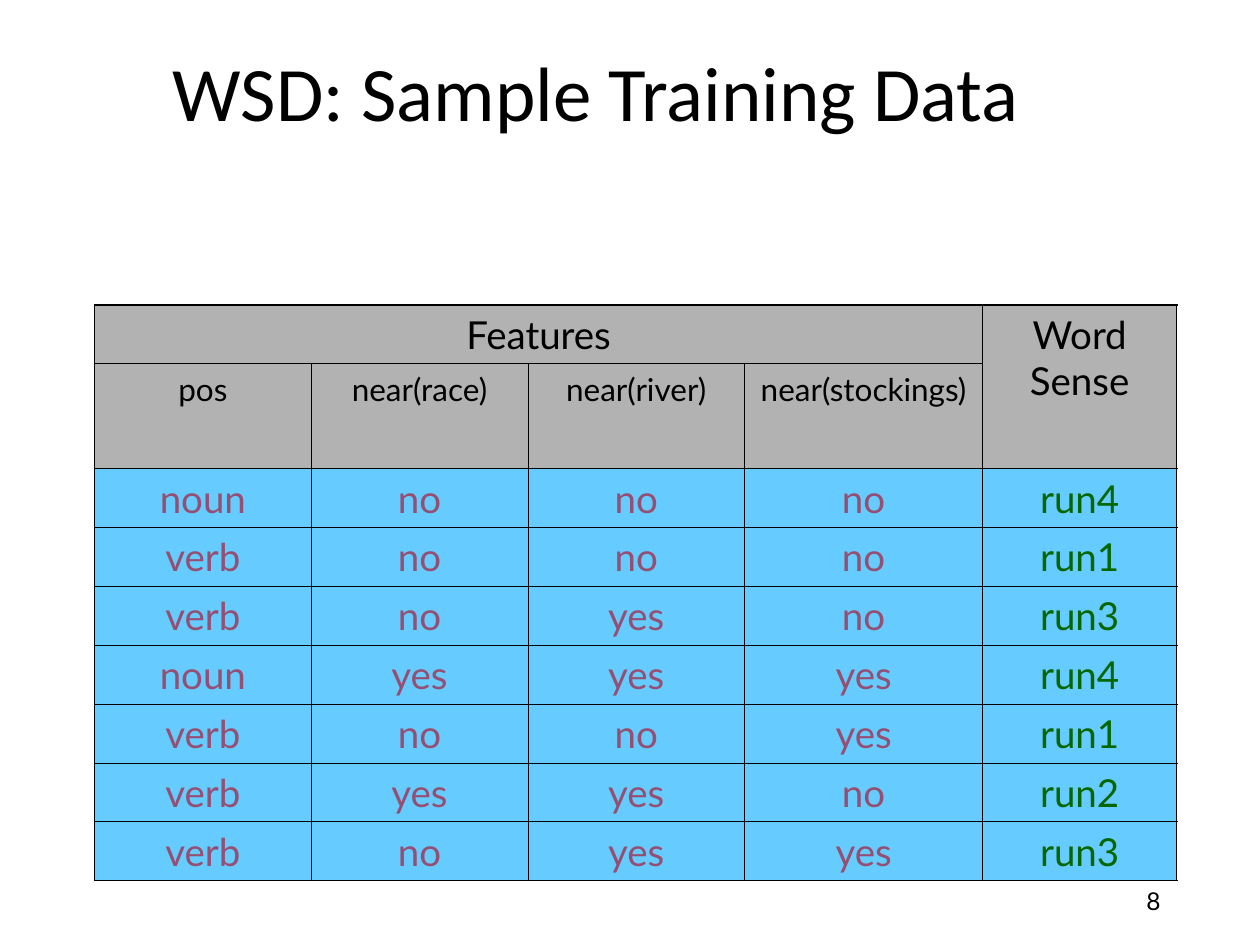
from dataclasses import dataclass

from lxml import etree
from pptx import Presentation
from pptx.dml.color import RGBColor
from pptx.enum.text import MSO_ANCHOR, MSO_AUTO_SIZE, PP_ALIGN
from pptx.oxml.ns import qn
from pptx.util import Inches, Pt

LEFT, CENTER, RIGHT = PP_ALIGN.LEFT, PP_ALIGN.CENTER, PP_ALIGN.RIGHT
MIDDLE = MSO_ANCHOR.MIDDLE
NO_AUTOFIT = MSO_AUTO_SIZE.NONE
TITLE_ONLY = 5


@dataclass(frozen=True)
class Theme:
    title_font: str = "Calibri"
    body_font: str = "Lato"
    ink: str = "000000"
    header_fill: str = "B2B2B2"
    data_fill: str = "66CCFF"
    feature_ink: str = "954F72"
    sense_ink: str = "006600"
    title_size: float = 44
    table_size: float = 22
    feature_size: float = 18
    number_size: float = 14
    inner_line: float = 0.45
    outer_line: float = 1.08


THEME = Theme()

FEATURES = ["pos", "near(race)", "near(river)", "near(stockings)"]
SAMPLES = [
    ["noun", "no", "no", "no", "run4"],
    ["verb", "no", "no", "no", "run1"],
    ["verb", "no", "yes", "no", "run3"],
    ["noun", "yes", "yes", "yes", "run4"],
    ["verb", "no", "no", "yes", "run1"],
    ["verb", "yes", "yes", "no", "run2"],
    ["verb", "no", "yes", "yes", "run3"],
]
COLUMN_WIDTHS = [1.72, 1.72, 1.72, 1.89, 1.54]
ROW_HEIGHT, FEATURE_ROW_HEIGHT = 0.44, 0.73


def write(frame, text, size, align, color=THEME.ink, font=THEME.body_font):
    para = frame.paragraphs[0]
    para.alignment = align
    span = para.add_run()
    span.text = text
    span.font.name = font
    span.font.size = Pt(size)
    span.font.color.rgb = RGBColor.from_string(color)
    return para


def add_title(page, box, text):
    title = page.shapes.title
    title.left, title.top, title.width, title.height = map(Inches, box)
    frame = title.text_frame
    frame.auto_size = NO_AUTOFIT
    frame.word_wrap = True
    frame.vertical_anchor = MIDDLE
    para = write(frame, text, THEME.title_size, LEFT, font=THEME.title_font)
    para.line_spacing = 0.9


def set_borders(cell, widths):
    """Draw the sides L, R, T and B with the given widths in points."""
    properties = cell._tc.get_or_add_tcPr()
    for side, width in widths.items():
        line = etree.SubElement(properties, qn(f"a:ln{side}"), w=str(Pt(width)))
        fill = etree.SubElement(line, qn("a:solidFill"))
        etree.SubElement(fill, qn("a:srgbClr"), val=THEME.ink)


def fill_cell(cell, text, size, color=THEME.ink):
    para = write(cell.text_frame, text, size, CENTER, color)
    para.space_before = Pt(size / 4)


def add_training_table(page, left, top):
    row_count, column_count = len(SAMPLES) + 2, len(COLUMN_WIDTHS)
    heights = [ROW_HEIGHT, FEATURE_ROW_HEIGHT] + [ROW_HEIGHT] * len(SAMPLES)
    table = page.shapes.add_table(
        row_count, column_count, Inches(left), Inches(top),
        Inches(sum(COLUMN_WIDTHS)), Inches(sum(heights))).table
    for column, width in zip(table.columns, COLUMN_WIDTHS):
        column.width = Inches(width)
    for row, height in zip(table.rows, heights):
        row.height = Inches(height)

    last_row, last_column = row_count - 1, column_count - 1
    for r in range(row_count):
        for c in range(column_count):
            cell = table.cell(r, c)
            on_edge = {"L": c == 0, "R": c == last_column,
                       "T": r == 0, "B": r == last_row}
            set_borders(cell, {
                side: THEME.outer_line if outer else THEME.inner_line
                for side, outer in on_edge.items()})
            cell.fill.solid()
            color = THEME.header_fill if r < 2 else THEME.data_fill
            cell.fill.fore_color.rgb = RGBColor.from_string(color)

    table.cell(0, 0).merge(table.cell(0, last_column - 1))
    table.cell(0, last_column).merge(table.cell(1, last_column))
    fill_cell(table.cell(0, 0), "Features", THEME.table_size)
    fill_cell(table.cell(0, last_column), "Word Sense", THEME.table_size)
    for c, feature in enumerate(FEATURES):
        fill_cell(table.cell(1, c), feature, THEME.feature_size)
    for r, sample in enumerate(SAMPLES, start=2):
        for c, value in enumerate(sample):
            color = THEME.sense_ink if c == last_column else THEME.feature_ink
            fill_cell(table.cell(r, c), value, THEME.table_size, color)


def add_page_number(page, box, number):
    frame = page.shapes.add_textbox(*map(Inches, box)).text_frame
    frame.word_wrap = True
    frame.vertical_anchor = MIDDLE
    write(frame, number, THEME.number_size, RIGHT)


def main():
    deck = Presentation()
    deck.slide_width, deck.slide_height = Inches(10), Inches(7.5)
    page = deck.slides.add_slide(deck.slide_layouts[TITLE_ONLY])
    add_title(page, (1.27, 0.14, 8.52, 1.25), "WSD: Sample Training Data")
    add_training_table(page, 0.75, 2.42)
    add_page_number(page, (7.06, 6.95, 2.25, 0.4), "8")
    deck.save("out.pptx")


if __name__ == "__main__":
    main()
